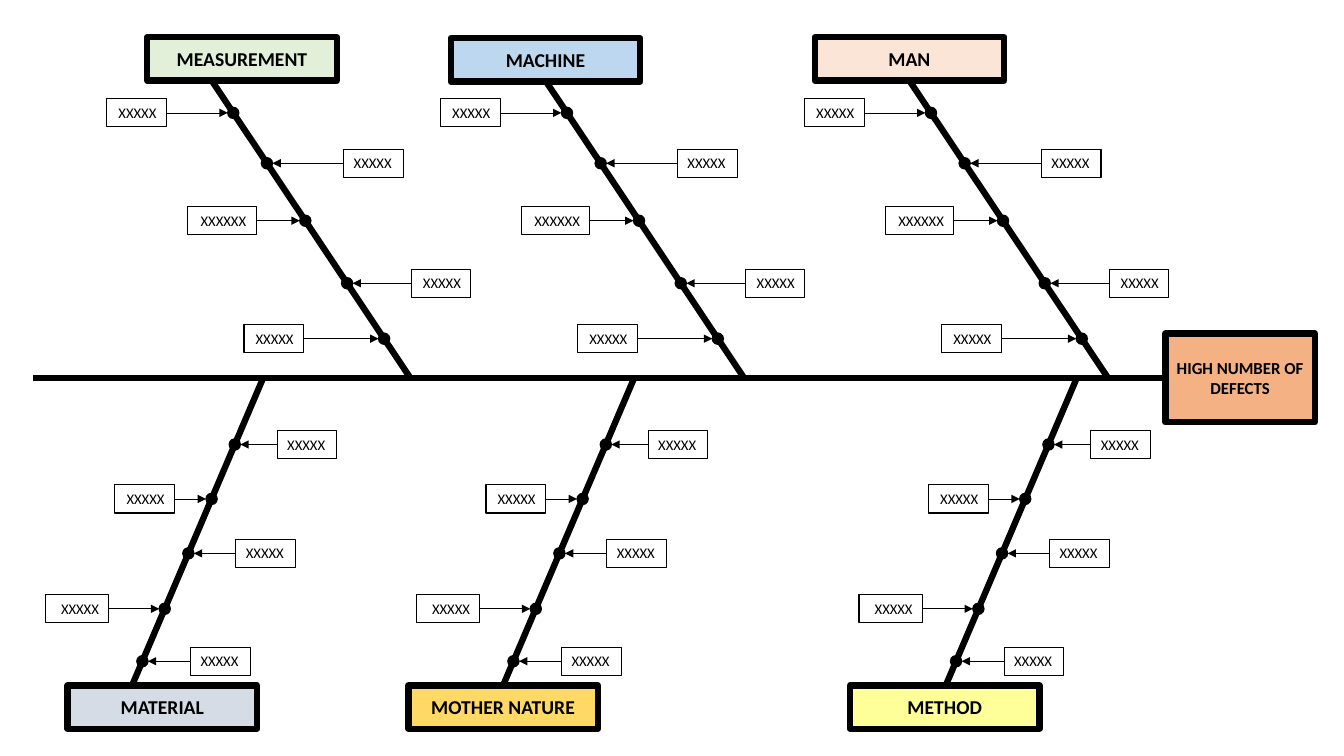
import pptx
import pptx.util
import pptx.dml.color
import pptx.enum.shapes
import pptx.enum.text
import pptx.oxml
import pptx.oxml.ns
from dataclasses import dataclass

Inches = pptx.util.Inches
Pt = pptx.util.Pt
Shapes = pptx.enum.shapes.MSO_SHAPE
Align = pptx.enum.text.PP_ALIGN
Anchor = pptx.enum.text.MSO_ANCHOR
Fit = pptx.enum.text.MSO_AUTO_SIZE


@dataclass
class Theme:
    font: str = "Calibri"
    ink: str = "000000"
    effect: str = "F4B183"
    label_size: float = 14
    effect_size: float = 12
    cause_size: float = 10.5
    bone: float = 4.5
    frame: float = 0.75
    arrow: float = 0.5
    dot: float = 1


theme = Theme()

EFFECT = "HIGH NUMBER OF DEFECTS"
EFFECT_BOX = (11.56, 3.31, 1.48, 0.88)
SPINE_Y, SPINE_LEFT = 3.75, 0.33
LABEL_W, LABEL_H = 1.88, 0.43
CAUSE_W, CAUSE_H = 0.59, 0.28
DOT = 0.11

# Each cause: text, box left measured from the joint, top, width, alignment
SIDES = [
    {
        "bone_end": (-1.97, 0.8),
        "categories": [
            ("MEASUREMENT", "E2F0D9", 4.07, 1.46, 0.37),
            ("MACHINE", "BDD7EE", 7.38, 4.47, 0.38),
            ("MAN", "FBE5D6", 10.99, 8.08, 0.37),
        ],
        "causes": [
            ("XXXXX", -3.01, 0.98, CAUSE_W, Align.RIGHT),
            ("XXXXX", -0.66, 1.48, CAUSE_W, Align.LEFT),
            ("XXXXXX", -2.21, 2.05, 0.68, Align.RIGHT),
            ("XXXXX", 0.01, 2.67, CAUSE_W, Align.RIGHT),
            ("XXXXX", -1.65, 3.22, CAUSE_W, Align.RIGHT),
        ],
    },
    {
        "bone_end": (-1.3, 6.8),
        "categories": [
            ("MATERIAL", "D6DCE5", 2.61, 0.67, 6.8),
            ("MOTHER NATURE", "FFD966", 6.29, 4.05, 6.8),
            ("METHOD", "FFFF99", 10.68, 8.43, 6.8),
        ],
        "causes": [
            ("XXXXX", 0.14, 4.27, CAUSE_W, Align.LEFT),
            ("XXXXX", -1.47, 4.81, CAUSE_W, Align.RIGHT),
            ("XXXXX", -0.27, 5.35, CAUSE_W, Align.LEFT),
            ("XXXXX", -2.16, 5.9, 0.63, Align.RIGHT),
            ("XXXXX", -0.72, 6.42, CAUSE_W, Align.LEFT),
        ],
    },
]

deck = pptx.Presentation()
deck.slide_width, deck.slide_height = Inches(13.33), Inches(7.5)
fishbone = deck.slides.add_slide(deck.slide_layouts[6])


def rgb(code):
    return pptx.dml.color.RGBColor.from_string(code)


def shape(kind, box, fill, weight):
    part = fishbone.shapes.add_shape(kind, *map(Inches, box))
    part.shadow.inherit = False
    if fill:
        part.fill.solid()
        part.fill.fore_color.rgb = rgb(fill)
    else:
        part.fill.background()
    part.line.color.rgb = rgb(theme.ink)
    part.line.width = Pt(weight)
    return part


def text_box(text, box, fill=None, weight=theme.bone, size=theme.label_size,
             bold=True, align=Align.CENTER, anchor=Anchor.MIDDLE,
             wrap=True, fit=Fit.NONE):
    frame = shape(Shapes.RECTANGLE, box, fill, weight).text_frame
    frame.word_wrap = wrap
    frame.auto_size = fit
    frame.vertical_anchor = anchor
    line = frame.paragraphs[0]
    line.alignment = align
    words = line.add_run()
    words.text = text
    words.font.name = theme.font
    words.font.size = Pt(size)
    words.font.bold = bold
    words.font.color.rgb = rgb(theme.ink)


def connect(start, end, weight, arrow=False):
    link = fishbone.shapes.add_connector(
        pptx.enum.shapes.MSO_CONNECTOR.STRAIGHT, *map(Inches, start + end))
    link.line.color.rgb = rgb(theme.ink)
    link.line.width = Pt(weight)
    if arrow:
        head = pptx.oxml.parse_xml(
            '<a:tailEnd %s type="triangle"/>' % pptx.oxml.ns.nsdecls("a"))
        link.line._get_or_add_ln().append(head)
    link._element.spPr.append(
        pptx.oxml.parse_xml("<a:effectLst %s/>" % pptx.oxml.ns.nsdecls("a")))


def add_cause(cause, joint, slope):
    text, offset, top, width, align = cause
    left, y = joint + offset, top + CAUSE_H / 2
    dot_x = joint + (y - SPINE_Y) * slope
    text_box(text, (left, top, width, CAUSE_H), weight=theme.frame,
             size=theme.cause_size, bold=False, align=align,
             anchor=Anchor.TOP, wrap=width > CAUSE_W,
             fit=Fit.SHAPE_TO_FIT_TEXT)
    shape(Shapes.OVAL, (dot_x - DOT / 2, y - DOT / 2, DOT, DOT),
          theme.ink, theme.dot)
    if left < dot_x:
        start, end = left + width, dot_x - DOT / 2
    else:
        start, end = left, dot_x + DOT / 2
    connect((start, y), (end, y), theme.arrow, arrow=True)


connect((SPINE_LEFT, SPINE_Y), (EFFECT_BOX[0], SPINE_Y), theme.bone)
text_box(EFFECT, EFFECT_BOX, fill=theme.effect, size=theme.effect_size)

for side in SIDES:
    run, end_y = side["bone_end"]
    slope = run / (end_y - SPINE_Y)
    for label, colour, joint, left, top in side["categories"]:
        connect((joint, SPINE_Y), (joint + run, end_y), theme.bone)
        text_box(label, (left, top, LABEL_W, LABEL_H), fill=colour)
        for cause in side["causes"]:
            add_cause(cause, joint, slope)

deck.save("out.pptx")
